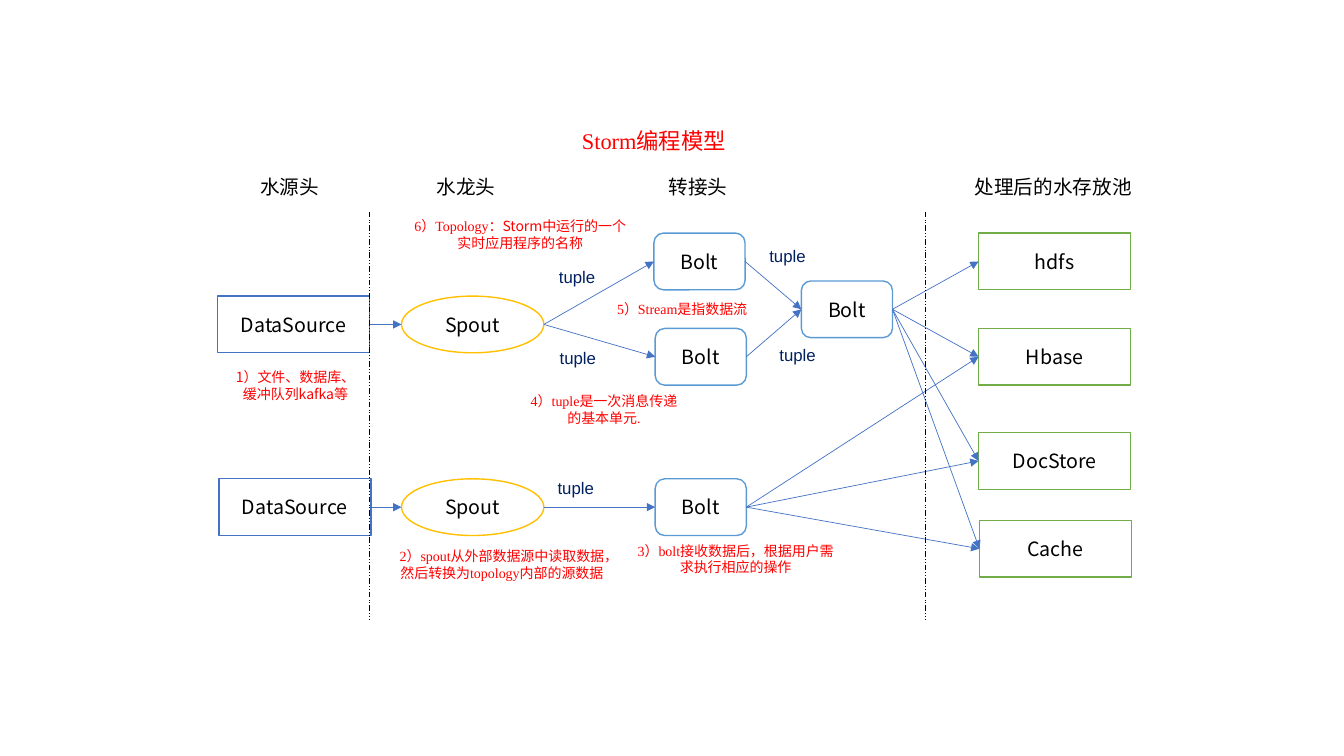
from dataclasses import dataclass

from lxml.etree import SubElement
from pptx import Presentation
from pptx.dml.color import RGBColor
from pptx.enum.dml import MSO_LINE
from pptx.enum.shapes import MSO_CONNECTOR, MSO_SHAPE
from pptx.enum.text import MSO_ANCHOR, MSO_AUTO_SIZE, PP_ALIGN
from pptx.oxml.ns import qn
from pptx.shapes.autoshape import Shape
from pptx.shapes.connector import Connector
from pptx.slide import Slide
from pptx.util import Inches, Pt

# The slide is a grid of 160 columns and 90 rows, each a twelfth of an inch.
COLUMNS, ROWS = 160, 90
CELL = Inches(1) / 12
BOX_ROWS = 6.75
LEFT, RIGHT = 1, 3

WHITE = RGBColor(0xFF, 0xFF, 0xFF)
BLACK = RGBColor(0, 0, 0)
RED = RGBColor(0xFF, 0, 0)
NAVY = RGBColor(0x00, 0x20, 0x60)
BLUE = RGBColor(0x44, 0x72, 0xC4)
SKY = RGBColor(0x5B, 0x9B, 0xD5)
AMBER = RGBColor(0xFF, 0xC0, 0x00)
GREEN = RGBColor(0x70, 0xAD, 0x47)

SANS, SERIF, LABEL_FONT = "Noto Sans CJK SC", "Times New Roman", "Arial"


@dataclass(frozen=True)
class Kind:
    preset: MSO_SHAPE
    columns: float
    color: RGBColor


@dataclass(frozen=True)
class Node:
    text: str
    kind: Kind
    column: float
    row: float


@dataclass(frozen=True)
class Style:
    font: str
    size: int
    color: RGBColor
    spacing: float = 1.0


@dataclass(frozen=True)
class Label:
    lines: tuple[str, ...]
    style: Style
    column: float
    row: float
    columns: float
    rows: float
    sans_ending: str = ""


SOURCE = Kind(MSO_SHAPE.RECTANGLE, 18.1, BLUE)
SPOUT = Kind(MSO_SHAPE.OVAL, 16.95, AMBER)
BOLT = Kind(MSO_SHAPE.FLOWCHART_ALTERNATE_PROCESS, 10.85, SKY)
STORE = Kind(MSO_SHAPE.RECTANGLE, 18.1, GREEN)

TITLE = Style(SERIF, 16, RED, 1.2)
NODE = Style(SANS, 14, BLACK)
HEADING = Style(SANS, 14, BLACK)
TUPLE = Style(LABEL_FONT, 12, NAVY, 1.2)
NOTE = Style(SERIF, 10, RED)
SANS_NOTE = Style(SANS, 10, RED)

TITLE_LABEL = Label(("Storm编程模型",), TITLE, 57.5, 13.9, 40.7, 4.8)

NODES = {
    "source 1": Node("DataSource", SOURCE, 25.9, 35.25),
    "source 2": Node("DataSource", SOURCE, 26.05, 57),
    "spout 1": Node("Spout", SPOUT, 47.8, 35.25),
    "spout 2": Node("Spout", SPOUT, 47.8, 57),
    "upper bolt": Node("Bolt", BOLT, 77.85, 27.75),
    "middle bolt": Node("Bolt", BOLT, 78, 39.1),
    "lower bolt": Node("Bolt", BOLT, 78, 57),
    "last bolt": Node("Bolt", BOLT, 95.4, 33.45),
    "hdfs": Node("hdfs", STORE, 116.5, 27.75),
    "hbase": Node("Hbase", STORE, 116.5, 39.1),
    "documents": Node("DocStore", STORE, 116.5, 51.5),
    "cache": Node("Cache", STORE, 116.6, 61.95),
}

FLOWS = {
    "source 1": ("spout 1",),
    "source 2": ("spout 2",),
    "spout 1": ("upper bolt", "middle bolt"),
    "spout 2": ("lower bolt",),
    "upper bolt": ("last bolt",),
    "middle bolt": ("last bolt",),
    "last bolt": ("hdfs", "hbase", "documents", "cache"),
    "lower bolt": ("hbase", "documents", "cache"),
}

DIVIDER_COLUMNS = (43.95, 110.2)
DIVIDER_TOP, DIVIDER_BOTTOM = 25.2, 73.7

TUPLE_PLACES = ((62.05, 30.7), (61.9, 55.8), (87.1, 28.2), (62.15, 40.3), (88.3, 40))
HEADINGS = (("水源头", 28.45, 12.1), ("水龙头", 49.45, 12.1),
            ("转接头", 77.05, 12.1), ("处理后的水存放池", 111.85, 27.1))

LABELS = (
    *(Label(("tuple",), TUPLE, column, row, 13.3, 4) for column, row in TUPLE_PLACES),
    *(Label((text,), HEADING, column, 20.25, columns, 4.1)
      for text, column, columns in HEADINGS),
    Label(("1）文件、数据库、", "缓冲队列kafka等"), SANS_NOTE, 24.5, 43.3, 21.35, 5.3),
    Label(("2）spout从外部数据源中读取数据，然后转换为topology内部的源数据",),
          NOTE, 46.3, 64.55, 26.9, 7.45),
    Label(("3）bolt接收数据后，根据用户需求执行相应的操作",), NOTE, 73.9, 63.95, 27.35, 5.3),
    Label(("4）tuple是一次消息传递的基本单元.",), NOTE, 61.45, 46.1, 20.9, 5.3),
    Label(("5）Stream是指数据流",), NOTE, 69.6, 35.15, 23.2, 3.25),
    Label(("6）Topology：",), NOTE, 47.4, 25.3, 29.05, 5.3,
          "Storm中运行的一个实时应用程序的名称"),
)


def grid(cells: float) -> int:
    return round(cells * CELL)


def write(box: Shape, lines: tuple[str, ...], style: Style) -> None:
    frame = box.text_frame
    frame.word_wrap = True
    frame.text = "\n".join(lines)
    for para in frame.paragraphs:
        para.alignment = PP_ALIGN.CENTER
        para.line_spacing = style.spacing
        para.font.name = style.font
        para.font.size = Pt(style.size)
        para.font.color.rgb = style.color
        properties = para._p.pPr.find(qn("a:defRPr"))
        SubElement(properties, qn("a:ea")).set("typeface", SANS)


def fill_label(box: Shape, label: Label) -> None:
    box.left, box.top = grid(label.column), grid(label.row)
    box.width, box.height = grid(label.columns), grid(label.rows)
    write(box, label.lines, label.style)
    box.text_frame.vertical_anchor = MSO_ANCHOR.TOP
    box.text_frame.auto_size = MSO_AUTO_SIZE.SHAPE_TO_FIT_TEXT
    if label.sans_ending:
        span = box.text_frame.paragraphs[-1].add_run()
        span.text = label.sans_ending
        span.font.name = SANS


def draw_node(page: Slide, node: Node) -> Shape:
    box = page.shapes.add_shape(node.kind.preset, grid(node.column), grid(node.row),
                                grid(node.kind.columns), grid(BOX_ROWS))
    box.shadow.inherit = False
    box.fill.solid()
    box.fill.fore_color.rgb = WHITE
    box.line.color.rgb = node.kind.color
    box.line.width = Pt(1)
    write(box, (node.text,), NODE)
    box.text_frame.vertical_anchor = MSO_ANCHOR.MIDDLE
    return box


def draw_line(page: Slide, start: tuple[int, int], end: tuple[int, int],
              color: RGBColor) -> Connector:
    line = page.shapes.add_connector(MSO_CONNECTOR.STRAIGHT, *start, *end)
    line.line.color.rgb = color
    line.line.width = Pt(0.5)
    SubElement(line._element.spPr, qn("a:effectLst"))
    return line


def draw_flow(page: Slide, origin: Shape, target: Shape) -> None:
    """Draw an arrow from one box's right side to the next one's left side."""
    start = origin.left + origin.width, origin.top + origin.height // 2
    end = target.left, target.top + target.height // 2
    arrow = draw_line(page, start, end, BLUE)
    SubElement(arrow.line._get_or_add_ln(), qn("a:tailEnd")).set("type", "triangle")
    if origin.auto_shape_type != MSO_SHAPE.OVAL:
        arrow.begin_connect(origin, RIGHT)
    if target.auto_shape_type != MSO_SHAPE.OVAL:
        arrow.end_connect(target, LEFT)


def main() -> None:
    deck = Presentation()
    deck.slide_width, deck.slide_height = grid(COLUMNS), grid(ROWS)
    page = deck.slides.add_slide(deck.slide_layouts[5])
    fill_label(page.shapes.title, TITLE_LABEL)
    boxes = {name: draw_node(page, node) for name, node in NODES.items()}
    for origin, targets in FLOWS.items():
        for target in targets:
            draw_flow(page, boxes[origin], boxes[target])
    for column in DIVIDER_COLUMNS:
        divider = draw_line(page, (grid(column), grid(DIVIDER_TOP)),
                            (grid(column), grid(DIVIDER_BOTTOM)), BLACK)
        divider.line.dash_style = MSO_LINE.DASH_DOT_DOT
    for label in LABELS:
        fill_label(page.shapes.add_textbox(0, 0, 0, 0), label)
    deck.save("out.pptx")


if __name__ == "__main__":
    main()
